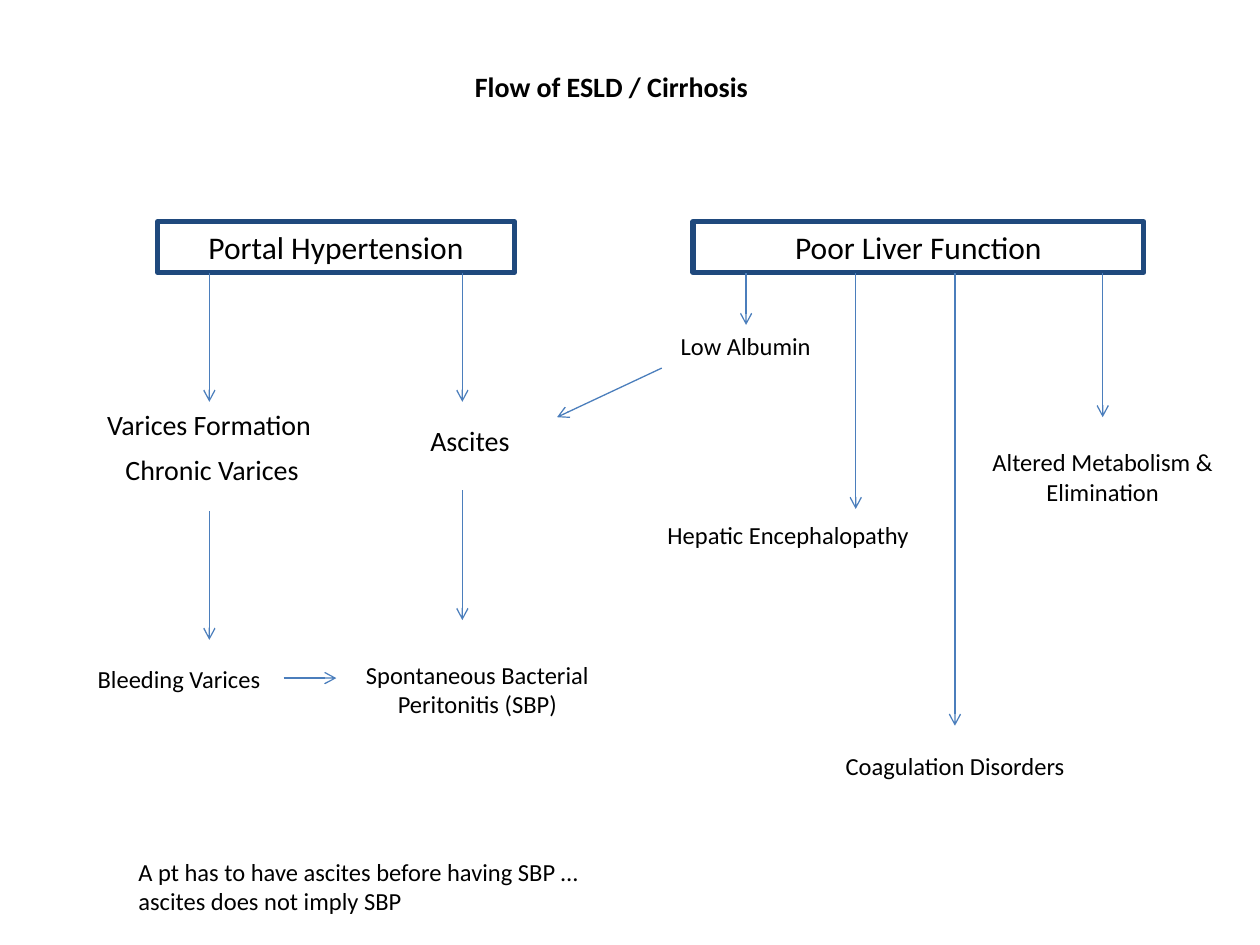
from lxml import etree
from pptx import Presentation
from pptx.dml.color import RGBColor
from pptx.enum.shapes import MSO_CONNECTOR, MSO_SHAPE
from pptx.enum.text import MSO_ANCHOR, PP_ALIGN
from pptx.oxml.ns import qn
from pptx.util import Cm, Pt

COLORS = {"text": "000000", "frame": "1F497D", "arrow": "4B7EBC", "background": "FFFFFF"}
FONT = "Calibri"


def color(name):
    return RGBColor.from_string(COLORS[name])


def write_text(shape, text, size=14, bold=False, align=PP_ALIGN.CENTER):
    frame = shape.text_frame
    frame.word_wrap = True
    frame.vertical_anchor = MSO_ANCHOR.TOP
    frame.text = text
    paragraph = frame.paragraphs[0]
    paragraph.alignment = align
    paragraph.space_before = Pt(0)
    font = paragraph.runs[0].font
    font.name, font.size, font.bold = FONT, Pt(size), bold
    font.color.rgb = color("text")


def add_label(slide, text, left, top, width, height=0.86, **text_format):
    shape = slide.shapes.add_textbox(Cm(left), Cm(top), Cm(width), Cm(height))
    write_text(shape, text, **text_format)


def add_heading(slide, text, left, top, width):
    shape = slide.shapes.add_shape(
        MSO_SHAPE.RECTANGLE, Cm(left), Cm(top), Cm(width), Cm(1.02))
    shape.shadow.inherit = False
    shape.fill.background()
    shape.line.color.rgb = color("frame")
    shape.line.width = Pt(3)
    write_text(shape, text, size=18)


def add_arrow(slide, start_x, start_y, end_x, end_y):
    arrow = slide.shapes.add_connector(
        MSO_CONNECTOR.STRAIGHT, Cm(start_x), Cm(start_y), Cm(end_x), Cm(end_y))
    arrow.line.color.rgb = color("arrow")
    arrow.line.width = Pt(0.75)
    etree.SubElement(arrow.line._get_or_add_ln(), qn("a:tailEnd"), type="arrow")
    etree.SubElement(arrow._element.spPr, qn("a:effectLst"))


def add_branch(slide, left, top, heading, labels, arrows):
    text, width = heading
    add_heading(slide, text, left + 2.11, top, width)
    for text, x, y, width, height, size in labels:
        add_label(slide, text, left + x, top + y, width, height, size=size)
    for start_x, start_y, end_x, end_y in arrows:
        add_arrow(slide, left + start_x, top + start_y, left + end_x, top + end_y)


def add_portal_branch(slide, left, top):
    varices_x, ascites_x = 3.15, 8.25
    labels = [
        ("Varices Formation", 0.81, 3.63, 4.67, 0.94, 16),
        ("Ascites", 6.65, 3.94, 3.51, 0.94, 16),
        ("Spontaneous Bacterial Peritonitis (SBP)", 5.38, 8.71, 6.35, 1.45, 14),
        ("Chronic Varices", 0.98, 4.52, 4.45, 0.94, 16),
        ("Bleeding Varices", 0, 8.79, 5.08, 0.86, 14),
    ]
    arrows = [
        (varices_x, 1.04, varices_x, 3.63),
        (ascites_x, 1.04, ascites_x, 3.63),
        (varices_x, 5.84, varices_x, 8.43),
        (ascites_x, 5.41, ascites_x, 8.03),
        (4.65, 9.2, 5.71, 9.2),
    ]
    add_branch(slide, left, top, ("Portal Hypertension", 7.19), labels, arrows)


def add_liver_branch(slide, left, top):
    labels = [
        ("Coagulation Disorders", 4.22, 10.54, 6.35, 0.86, 14),
        ("Hepatic Encephalopathy", 0.64, 5.89, 6.78, 0.86, 14),
        ("Low Albumin", 0, 2.08, 6.35, 0.86, 14),
        ("Altered Metabolism & Elimination", 7.83, 4.42, 5.08, 1.45, 14),
    ]
    drops = [(3.18, 2.08), (5.39, 5.79), (7.39, 10.16), (10.37, 3.94)]
    arrows = [(x, 1.04, x, end) for x, end in drops]
    arrows.append((1.48, 2.95, -0.63, 3.94))
    add_branch(slide, left, top, ("Poor Liver Function", 9.09), labels, arrows)


def add_title(slide, left, top, width, height):
    title = slide.shapes.title
    title.left, title.top, title.width, title.height = map(Cm, (left, top, width, height))
    write_text(title, "Flow of ESLD / Cirrhosis", size=16, bold=True, align=PP_ALIGN.LEFT)


def main():
    presentation = Presentation()
    presentation.slide_width, presentation.slide_height = Cm(25.4), Cm(19.05)
    slide = presentation.slides.add_slide(presentation.slide_layouts[5])
    slide.background.fill.solid()
    slide.background.fill.fore_color.rgb = color("background")
    add_title(slide, 9.32, 1.27, 6.25, 0.94)
    add_portal_branch(slide, 1.07, 4.47)
    add_liver_branch(slide, 11.86, 4.47)
    add_label(slide, "A pt has to have ascites before having SBP … ascites does not imply SBP",
              2.54, 17.15, 10.26, 1.45, align=PP_ALIGN.LEFT)
    presentation.save("out.pptx")


if __name__ == "__main__":
    main()
